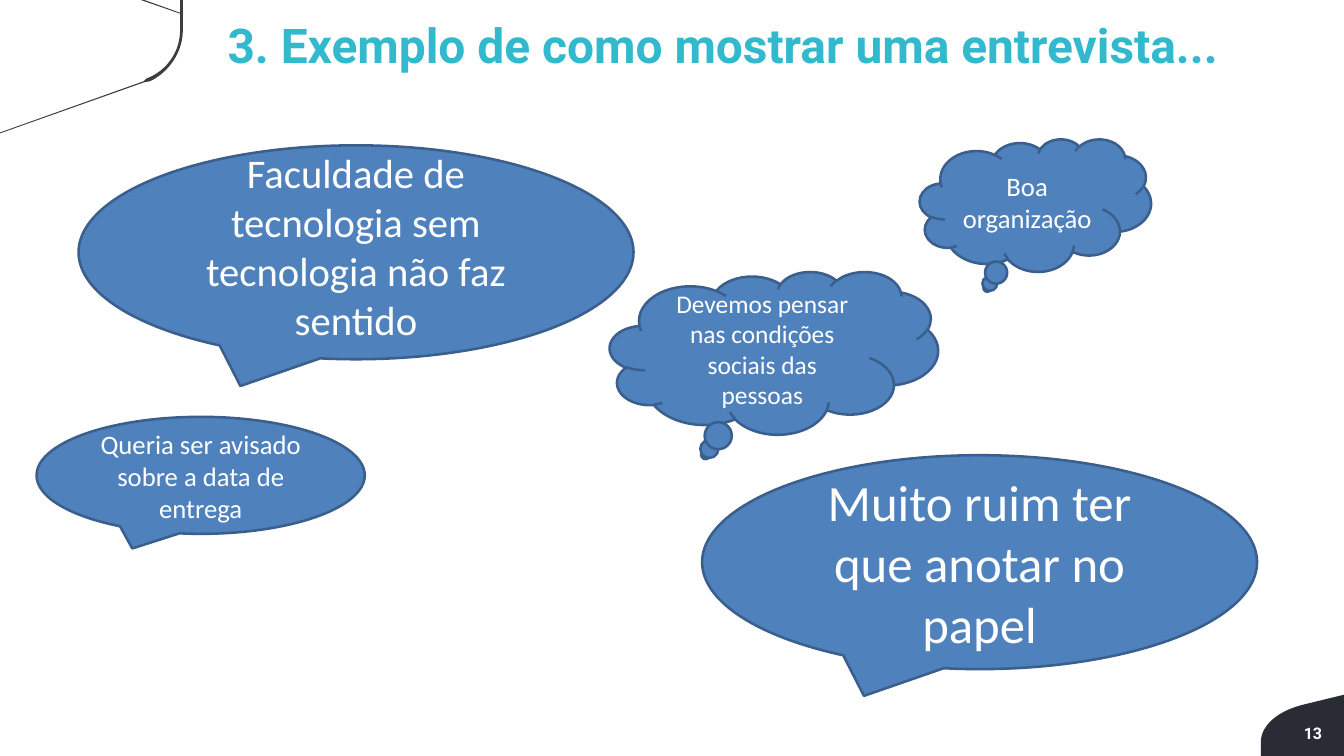
from pptx import Presentation
from pptx.dml.color import RGBColor
from pptx.enum.shapes import MSO_SHAPE
from pptx.enum.text import MSO_ANCHOR, PP_ALIGN
from pptx.util import Inches, Pt

SPEECH = MSO_SHAPE.OVAL_CALLOUT
THOUGHT = MSO_SHAPE.CLOUD_CALLOUT
MIDDLE, TOP = MSO_ANCHOR.MIDDLE, MSO_ANCHOR.TOP
LEFT, CENTER, RIGHT = PP_ALIGN.LEFT, PP_ALIGN.CENTER, PP_ALIGN.RIGHT

SLIDE_WIDTH, SLIDE_HEIGHT = 14.7, 8.27
COLORS = {
    "title": "32B9CD",
    "bubble": "4F81BD",
    "outline": "3A5F8C",
    "white": "FFFFFF",
    "footer": "292C34",
    "corner": "3B3D42",
}
INSETS = (0.1, 0.05, 0.1, 0.05)
RAISED_INSETS = (0.1, 0.05, 0.1, 0.19)
NUMBER_INSETS = (0.02, 0.01, 0.02, 0.01)

TITLE = "3. Exemplo de como mostrar uma entrevista..."
SLIDE_NUMBER = "13"
LABELS = [
    (SLIDE_NUMBER, (13.79, 7.91, 0.69, 0.23), 12.6, "white", RIGHT, NUMBER_INSETS),
    (TITLE, (2.39, 0.12, 11.79, 0.84), 37.7, "title", LEFT, INSETS),
]
SMALL_SPEECH, LARGE_SPEECH = (3.59, 1.28), (6.07, 2.34)
BUBBLES = [
    (SPEECH, "Queria ser avisado sobre a data de entrega",
     (0.4, 4.56), SMALL_SPEECH, 21, INSETS),
    (THOUGHT, "Boa organização", (10.06, 1.52), (2.53, 1.45), 21, INSETS),
    (SPEECH, "Faculdade de tecnologia sem tecnologia não faz sentido",
     (0.86, 1.59), LARGE_SPEECH, 32, RAISED_INSETS),
    (THOUGHT, "Devemos pensar nas condições sociais das pessoas",
     (6.67, 2.97), (3.59, 1.78), 20, INSETS),
    (SPEECH, "Muito ruim ter que anotar no papel",
     (7.68, 4.98), LARGE_SPEECH, 40, INSETS),
]


def curve(start, first_control, second_control, end, steps=20):
    points = []
    for step in range(steps + 1):
        t = step / steps
        weights = ((1 - t) ** 3, 3 * t * (1 - t) ** 2, 3 * t ** 2 * (1 - t), t ** 3)
        controls = (start, first_control, second_control, end)
        points.append(tuple(
            sum(weight * control[axis] for weight, control in zip(weights, controls))
            for axis in (0, 1)
        ))
    return points


FOOTER_OUTLINE = [
    (SLIDE_WIDTH, 7.6),
    *curve((14.25, 7.71), (13.97, 7.78), (13.79, 7.94), (13.79, 8.12)),
    (13.79, SLIDE_HEIGHT),
    (SLIDE_WIDTH, SLIDE_HEIGHT),
]
CORNER_OUTLINE = [
    (0, 1.46), (1.58, 0.9),
    *curve((1.64, 0.89), (1.85, 0.79), (2, 0.57), (2, 0.33)),
    (2, 0), (1.97, 0), (1.97, 0.14), (1.58, 0), (1.54, 0), (1.97, 0.15),
    *curve((1.97, 0.33), (1.97, 0.57), (1.82, 0.78), (1.6, 0.86)),
    (1.57, 0.89), (0, 1.45),
]
DECORATIONS = [(FOOTER_OUTLINE, "footer"), (CORNER_OUTLINE, "corner")]


def rgb(name):
    return RGBColor.from_string(COLORS[name])


def set_all(target, values):
    for name, value in values.items():
        setattr(target, name, value)


def fill_shape(shape, color):
    shape.shadow.inherit = False
    shape.fill.solid()
    shape.fill.fore_color.rgb = rgb(color)


def write(shape, text, size, font, color, align, anchor, insets, bold=False):
    frame = shape.text_frame
    sides = ("margin_left", "margin_top", "margin_right", "margin_bottom")
    set_all(frame, dict(zip(sides, map(Inches, insets))))
    set_all(frame, {"word_wrap": True, "vertical_anchor": anchor})
    paragraph = frame.paragraphs[0]
    paragraph.alignment = align
    run = paragraph.add_run()
    run.text = text
    set_all(run.font, {"size": Pt(size), "name": font, "bold": bold})
    run.font.color.rgb = rgb(color)


def add_decoration(slide, outline, color):
    points = [(Inches(x), Inches(y)) for x, y in outline]
    builder = slide.shapes.build_freeform(*points[0])
    builder.add_line_segments(points[1:], close=True)
    shape = builder.convert_to_shape()
    fill_shape(shape, color)
    shape.line.fill.background()


def add_bubble(slide, kind, text, position, extent, size, insets):
    shape = slide.shapes.add_shape(kind, *map(Inches, position + extent))
    fill_shape(shape, "bubble")
    shape.line.color.rgb = rgb("outline")
    shape.line.width = Pt(2)
    write(shape, text, size, "Calibri", "white", CENTER, MIDDLE, insets)


def main():
    presentation = Presentation()
    set_all(presentation, {
        "slide_width": Inches(SLIDE_WIDTH),
        "slide_height": Inches(SLIDE_HEIGHT),
    })
    slide = presentation.slides.add_slide(presentation.slide_layouts[6])
    for outline, color in DECORATIONS:
        add_decoration(slide, outline, color)
    for text, box, size, color, align, insets in LABELS:
        label = slide.shapes.add_textbox(*map(Inches, box))
        write(label, text, size, "Roboto", color, align, TOP, insets, bold=True)
    for bubble in BUBBLES:
        add_bubble(slide, *bubble)
    presentation.save("out.pptx")


if __name__ == "__main__":
    main()
